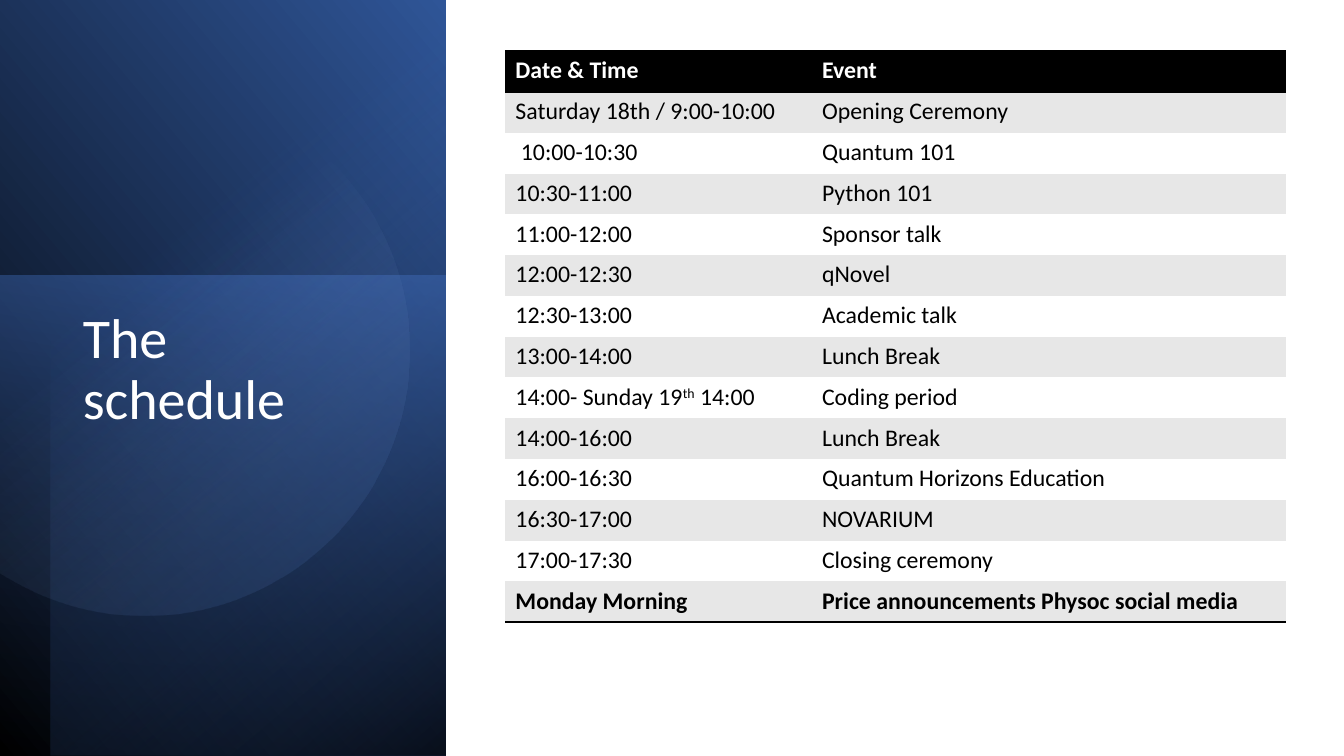
import math
from dataclasses import dataclass

import pptx
import pptx.dml.color
import pptx.enum.shapes
import pptx.enum.text
import pptx.oxml.ns
import pptx.oxml.xmlchemy
import pptx.util

FONT = "Calibri"
BLACK, WHITE, GREY = "000000", "FFFFFF", "E7E7E7"
PANEL_WIDTH, PAGE_HEIGHT = 318.5, 540
NO_STYLE = "{2D5ABB26-0587-4C30-8999-92F81FD0307C}"


@dataclass
class Stop:
    position: float
    color: str
    opacity: int = 100


@dataclass
class Panel:
    left: float
    top: float
    angle: float  # clockwise direction of the gradient
    stops: tuple[Stop, Stop]


@dataclass
class Event:
    time: str
    name: str
    bold: bool = False


PANELS = [
    Panel(0, 0, 320, (Stop(0, BLACK), Stop(1, "2F5597"))),
    Panel(0, 197, 100, (Stop(0, "4472C4", 50), Stop(1, "203864", 0))),
    Panel(36, 0, 230, (Stop(0, BLACK, 59), Stop(0.69, "4472C4", 0))),
]
DISC_STOPS = (Stop(0.39, "8FAADC", 0), Stop(1, "2F5597", 26))

# "^" encloses superscript text
SCHEDULE = [
    Event("Date & Time", "Event", True),
    Event("Saturday 18th / 9:00-10:00", "Opening Ceremony"),
    Event(" 10:00-10:30", "Quantum 101"),
    Event("10:30-11:00", "Python 101"),
    Event("11:00-12:00", "Sponsor talk"),
    Event("12:00-12:30", "qNovel"),
    Event("12:30-13:00", "Academic talk"),
    Event("13:00-14:00", "Lunch Break"),
    Event("14:00- Sunday 19^th^ 14:00", "Coding period"),
    Event("14:00-16:00", "Lunch Break"),
    Event("16:00-16:30", "Quantum Horizons Education"),
    Event("16:30-17:00", "NOVARIUM"),
    Event("17:00-17:30", "Closing ceremony"),
    Event("Monday Morning", "Price announcements Physoc social media", True),
]


def points(*lengths: float) -> tuple[pptx.util.Length, ...]:
    return tuple(pptx.util.Pt(length) for length in lengths)


def rgb(color: str) -> pptx.dml.color.RGBColor:
    return pptx.dml.color.RGBColor.from_string(color)


def element(tag: str, **attributes: str):
    node = pptx.oxml.xmlchemy.OxmlElement(tag)
    for name, value in attributes.items():
        node.set(name, value)
    return node


def style_font(font, size: float, color: str, bold: bool = False) -> None:
    font.name, font.size, font.bold = FONT, pptx.util.Pt(size), bold
    font.color.rgb = rgb(color)


def fill_gradient(shape, angle: float, stops: tuple[Stop, Stop]) -> None:
    shape.shadow.inherit = False
    shape.line.fill.background()
    shape.fill.gradient()
    shape.fill.gradient_angle = 360 - angle
    for target, stop in zip(shape.fill.gradient_stops, stops):
        target.position = stop.position
        target.color.rgb = rgb(stop.color)
    colors = shape._element.spPr.iter(pptx.oxml.ns.qn("a:srgbClr"))
    for node, stop in zip(colors, stops):
        if stop.opacity < 100:
            node.append(element("a:alpha", val=str(stop.opacity * 1000)))


def draw_panel(page, panel: Panel) -> None:
    shape = page.shapes.add_shape(
        pptx.enum.shapes.MSO_SHAPE.RECTANGLE,
        *points(panel.left, panel.top,
                PANEL_WIDTH - panel.left, PAGE_HEIGHT - panel.top))
    fill_gradient(shape, panel.angle, panel.stops)


def draw_disc(page) -> None:
    """Draw a disc cut off along the left edge of the page."""
    center_x, center_y, radius = 103, 250, 189.5
    reach = math.acos(-center_x / radius)
    steps = 120
    angles = [reach * (2 * step / steps - 1) for step in range(steps + 1)]
    outline = [points(center_x + radius * math.cos(angle),
                      center_y + radius * math.sin(angle)) for angle in angles]
    builder = page.shapes.build_freeform(*outline[0])
    builder.add_line_segments(outline[1:], close=True)
    fill_gradient(builder.convert_to_shape(), 51.6, DISC_STOPS)


def write_title(page) -> None:
    title = page.shapes.title
    title.left, title.top, title.width, title.height = points(
        52, 218, 226.5, 242)
    frame = title.text_frame
    frame.text = "The schedule"
    frame.word_wrap = True
    frame.auto_size = pptx.enum.text.MSO_AUTO_SIZE.NONE
    frame.vertical_anchor = pptx.enum.text.MSO_ANCHOR.TOP
    para = frame.paragraphs[0]
    para.alignment = pptx.enum.text.PP_ALIGN.LEFT
    para.line_spacing = 0.9
    style_font(para.runs[0].font, 40, WHITE)


def add_border(cell, tag: str) -> None:
    line = element(tag, w=str(int(pptx.util.Pt(2))))
    fill = element("a:solidFill")
    fill.append(element("a:srgbClr", val=BLACK))
    line.append(fill)
    cell._tc.get_or_add_tcPr().insert(0, line)


def fill_cell(cell, text: str, color: str, background: str, bold: bool) -> None:
    cell.fill.solid()
    cell.fill.fore_color.rgb = rgb(background)
    para = cell.text_frame.paragraphs[0]
    for index, part in enumerate(text.split("^")):
        span = para.add_run()
        span.text = part
        style_font(span.font, 17, color, bold)
        if index % 2:
            span.font._element.set("baseline", "30000")


def draw_schedule(page) -> None:
    widths, row_height = (219, 338.5), 29.16
    table = page.shapes.add_table(
        len(SCHEDULE), len(widths),
        *points(361, 36.5, sum(widths), row_height * len(SCHEDULE))).table
    table.first_row = table.horz_banding = False
    table._tbl.tblPr.find(pptx.oxml.ns.qn("a:tableStyleId")).text = NO_STYLE
    for column, width in zip(table.columns, widths):
        column.width = pptx.util.Pt(width)
    last = len(SCHEDULE) - 1
    for index, event in enumerate(SCHEDULE):
        table.rows[index].height = pptx.util.Pt(row_height)
        color = BLACK if index else WHITE
        background = (GREY if index % 2 else WHITE) if index else BLACK
        for column, text in enumerate((event.time, event.name)):
            cell = table.cell(index, column)
            fill_cell(cell, text, color, background, event.bold)
            if index in (0, last):
                add_border(cell, "a:lnB")
            if index == 0:
                add_border(cell, "a:lnT")


def main() -> None:
    deck = pptx.Presentation()
    deck.slide_width, deck.slide_height = points(960, PAGE_HEIGHT)
    page = deck.slides.add_slide(deck.slide_layouts[5])

    # Blue side panel, behind the title
    for panel in PANELS:
        draw_panel(page, panel)
    draw_disc(page)
    page.shapes._spTree.append(page.shapes.title._element)

    # Title and schedule
    write_title(page)
    draw_schedule(page)
    deck.save("out.pptx")


if __name__ == "__main__":
    main()
